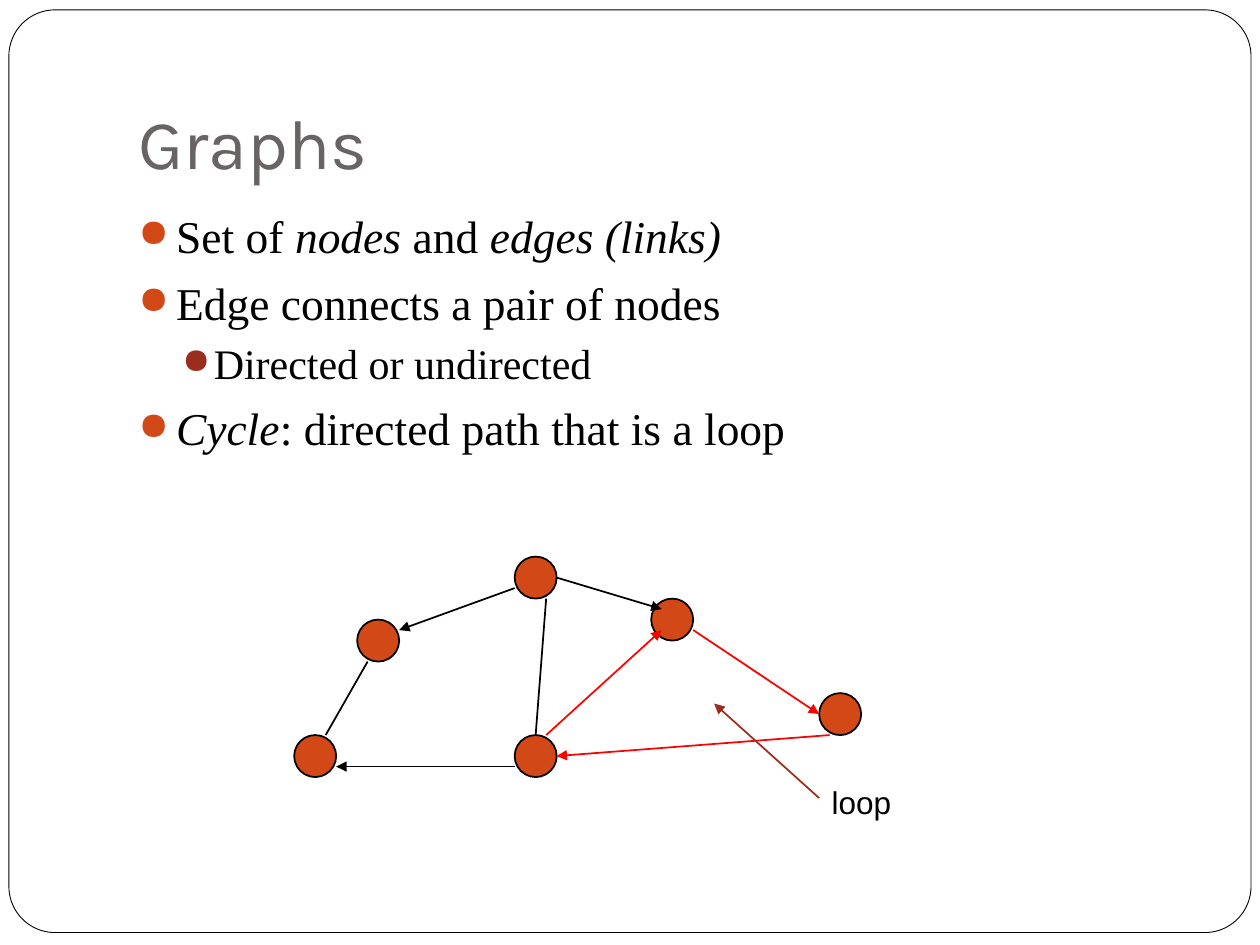
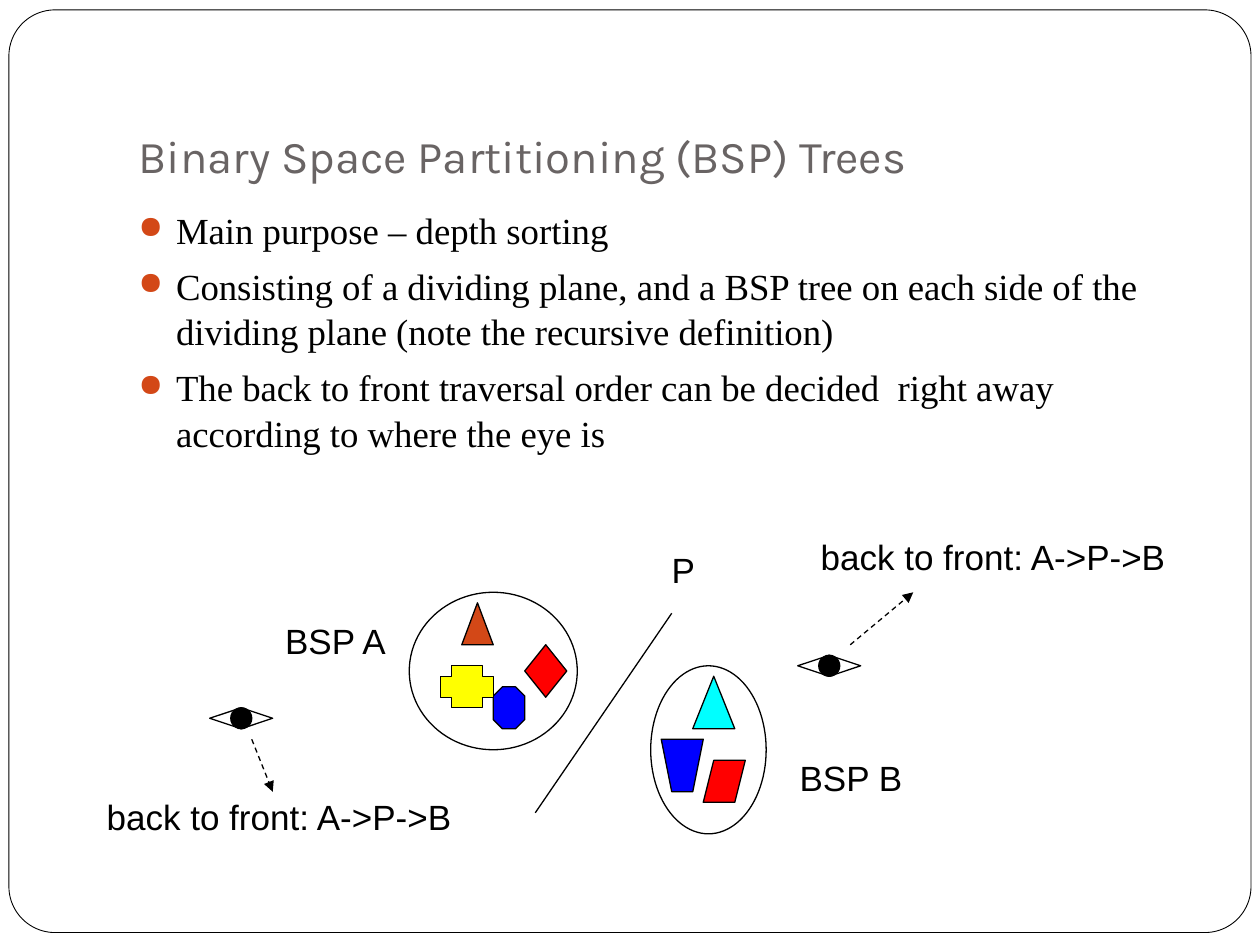
from lxml.etree import SubElement
from pptx import Presentation
from pptx.dml.color import RGBColor
from pptx.enum.dml import MSO_LINE_DASH_STYLE as Dash
from pptx.enum.shapes import MSO_CONNECTOR, MSO_SHAPE as Preset
from pptx.enum.text import MSO_ANCHOR as Anchor, MSO_AUTO_SIZE as AutoSize
from pptx.oxml.ns import qn
from pptx.util import Cm, Pt

BLACK = RGBColor(0x00, 0x00, 0x00)
WHITE = RGBColor(0xFF, 0xFF, 0xFF)
TITLE_GRAY = RGBColor(0x69, 0x64, 0x64)
ORANGE = RGBColor(0xD3, 0x48, 0x17)
BROWN = RGBColor(0x9B, 0x2D, 0x1F)
RED = RGBColor(0xFF, 0x00, 0x00)
BLUE = RGBColor(0x00, 0x00, 0xFF)
YELLOW = RGBColor(0xFF, 0xFF, 0x00)
CYAN = RGBColor(0x00, 0xFF, 0xFF)

TITLE_FONT, BODY_FONT, LABEL_FONT = "Karla", "Times New Roman", "Arial"
FRAME_BOX = Cm(0.18), Cm(0.2), Cm(25.04), Cm(18.6)
TITLE_BOX = Cm(2.54), Cm(0.76), Cm(21.59), Cm(3.18)
BODY_BOX = Cm(2.54), Cm(4.02), Cm(21.59), Cm(12.7)
GRAPH_ORIGIN = Cm(5.93), Cm(11.22)
SCENE_ORIGIN = Cm(1.9), Cm(10.67)
BULLET_LEVELS = [
    {"indent": Cm(0.76), "hang": Cm(0.76), "before": Pt(5.8), "color": ORANGE},
    {"indent": Cm(1.52), "hang": Cm(0.64), "before": Pt(3.7), "color": BROWN},
]


def grid(units):
    return Cm(2.54 * units / 12)


def place(origin, x, y):
    return origin[0] + grid(x), origin[1] + grid(y)


def add_run(paragraph, text, font=LABEL_FONT, size=20, color=BLACK, italic=False):
    run = paragraph.add_run()
    run.text = text
    run.font.name = font
    run.font.size = Pt(size)
    run.font.color.rgb = color
    run.font.italic = italic


def paint(shape, fill, weight):
    shape.shadow.inherit = False
    if fill is None:
        shape.fill.background()
    else:
        shape.fill.solid()
        shape.fill.fore_color.rgb = fill
    shape.line.color.rgb = BLACK
    shape.line.width = Pt(weight)


def add_figure(slide, preset, origin, x, y, width, height, fill=None, weight=0.75):
    shape = slide.shapes.add_shape(preset, *place(origin, x, y), grid(width), grid(height))
    paint(shape, fill, weight)
    return shape


def add_line(slide, origin, start, end, color=BLACK, weight=0.75, arrow=True, dashed=False):
    connector = slide.shapes.add_connector(
        MSO_CONNECTOR.STRAIGHT, *place(origin, *start), *place(origin, *end))
    connector.line.color.rgb = color
    connector.line.width = Pt(weight)
    if dashed:
        connector.line.dash_style = Dash.DASH
    properties = connector.element.spPr
    if arrow:
        SubElement(properties.find(qn("a:ln")), qn("a:tailEnd"), type="triangle")
    SubElement(properties, qn("a:effectLst"))


def add_label(slide, text, origin, x, y, width, height=5.2, **text_format):
    box = slide.shapes.add_textbox(*place(origin, x, y), grid(width), grid(height))
    box.text_frame.word_wrap = False
    box.text_frame.auto_size = AutoSize.SHAPE_TO_FIT_TEXT
    add_run(box.text_frame.paragraphs[0], text, **text_format)


def add_frame(slide, box):
    frame = slide.shapes.add_shape(Preset.ROUNDED_RECTANGLE, *box)
    frame.adjustments[0] = 0.05
    paint(frame, WHITE, 0.5)


def add_title(slide, box, text, size):
    frame = slide.shapes.add_textbox(*box).text_frame
    frame.word_wrap = True
    frame.vertical_anchor = Anchor.BOTTOM
    frame.margin_bottom = Cm(0.25)
    add_run(frame.paragraphs[0], text, font=TITLE_FONT, size=size, color=TITLE_GRAY)


def set_bullet(paragraph, indent, hang, before, color):
    paragraph.space_before = before
    paragraph.line_spacing = 1.04
    properties = paragraph._p.get_or_add_pPr()
    properties.set("marL", str(indent))
    properties.set("indent", str(-hang))
    bullet_color = SubElement(properties, qn("a:buClr"))
    SubElement(bullet_color, qn("a:srgbClr"), val=str(color))
    SubElement(properties, qn("a:buSzPct"), val="85000")
    SubElement(properties, qn("a:buChar"), char="●")


def add_bullets(slide, box, items):
    frame = slide.shapes.add_textbox(*box).text_frame
    frame.word_wrap = True
    for index, (level, size, pieces) in enumerate(items):
        paragraph = frame.add_paragraph() if index else frame.paragraphs[0]
        paragraph.level = level
        set_bullet(paragraph, **BULLET_LEVELS[level])
        for text, italic in pieces:
            add_run(paragraph, text, font=BODY_FONT, size=size, italic=italic)


def add_graph(slide, origin):
    nodes = [(21, 0), (6, 6), (21, 17), (34, 4), (0, 17), (50, 13)]
    edges = [
        ((25, 2), (35, 5), BLACK, True),
        ((38, 7), (50, 15), RED, True),
        ((51, 17), (25, 19), RED, True),
        ((24, 17), (35, 7), RED, True),
        ((24, 4), (23, 17), BLACK, False),
        ((21, 3), (10, 7), BLACK, True),
        ((7, 10), (3, 17), BLACK, False),
        ((21, 20), (4, 20), BLACK, True),
        ((50, 23), (40, 14), BROWN, True),
    ]
    for x, y in nodes:
        add_figure(slide, Preset.OVAL, origin, x, y, 4, 4, fill=ORANGE, weight=1)
    for start, end, color, arrow in edges:
        add_line(slide, origin, start, end, color=color, weight=1, arrow=arrow)
    add_label(slide, "loop", origin, 50, 21, 10, 6, size=18)


def add_bucket(slide, origin, x, y):
    corners = [place(origin, x + dx, y + dy) for dx, dy in [(0, 0), (1, 5), (3, 5), (4, 0)]]
    builder = slide.shapes.build_freeform(*corners[0])
    builder.add_line_segments(corners[1:], close=True)
    paint(builder.convert_to_shape(), BLUE, 0.75)


def add_eye(slide, origin, x, y):
    add_figure(slide, Preset.DIAMOND, origin, x, y, 6, 2)
    add_figure(slide, Preset.OVAL, origin, x + 2, y, 2, 2, fill=BLACK)


def add_scene(slide, origin):
    add_line(slide, origin, (55, 8), (42, 27), arrow=False)
    figures = [
        (Preset.OVAL, 30, 6, 16, 15, None),
        (Preset.ISOSCELES_TRIANGLE, 35, 7, 3, 4, ORANGE),
        (Preset.OCTAGON, 38, 15, 3, 4, BLUE),
        (Preset.DIAMOND, 41, 11, 4, 5, RED),
        (Preset.CROSS, 33, 13, 5, 4, YELLOW),
        (Preset.OVAL, 53, 13, 11, 16, None),
        (Preset.ISOSCELES_TRIANGLE, 57, 14, 4, 5, CYAN),
        (Preset.PARALLELOGRAM, 58, 22, 4, 4, RED),
    ]
    for preset, x, y, width, height, fill in figures:
        add_figure(slide, preset, origin, x, y, width, height, fill=fill)
    add_bucket(slide, origin, 54, 20)
    for text, x, y, width in [("BSP A", 17, 8, 12.2), ("BSP B", 66, 21, 12.2), ("P", 53.8, 1.2, 4.7)]:
        add_label(slide, text, origin, x, y, width)
    views = [
        ((67, 12), (72, 11), (78, 6), (68, 0)),
        ((11, 17), (15, 20), (17, 25), (0, 24.8)),
    ]
    for eye, start, end, label in views:
        add_eye(slide, origin, *eye)
        add_line(slide, origin, start, end, dashed=True)
        add_label(slide, "back to front: A->P->B", origin, *label, 35.3)


def add_topic(presentation, title, title_size, items):
    slide = presentation.slides.add_slide(presentation.slide_layouts[6])
    add_frame(slide, FRAME_BOX)
    add_title(slide, TITLE_BOX, title, title_size)
    add_bullets(slide, BODY_BOX, items)
    return slide


def main():
    presentation = Presentation()
    presentation.slide_width = Cm(25.4)
    presentation.slide_height = Cm(19.05)

    graphs = add_topic(presentation, "Graphs", 40, [
        (0, 26, [("Set of ", False), ("nodes", True), (" and ", False), ("edges (links)", True)]),
        (0, 26, [("Edge connects a pair of nodes", False)]),
        (1, 24, [("Directed or undirected", False)]),
        (0, 26, [("Cycle", True), (": directed path that is a loop", False)]),
    ])
    add_graph(graphs, GRAPH_ORIGIN)

    statements = [
        "Main purpose – depth sorting",
        "Consisting of a dividing plane, and a BSP tree on each side of the "
        "dividing plane (note the recursive definition)",
        "The back to front traversal order can be decided  right away "
        "according to where the eye is",
    ]
    trees = add_topic(presentation, "Binary Space Partitioning (BSP) Trees", 26,
                      [(0, 21, [(text, False)]) for text in statements])
    add_scene(trees, SCENE_ORIGIN)

    presentation.save("out.pptx")


if __name__ == "__main__":
    main()
